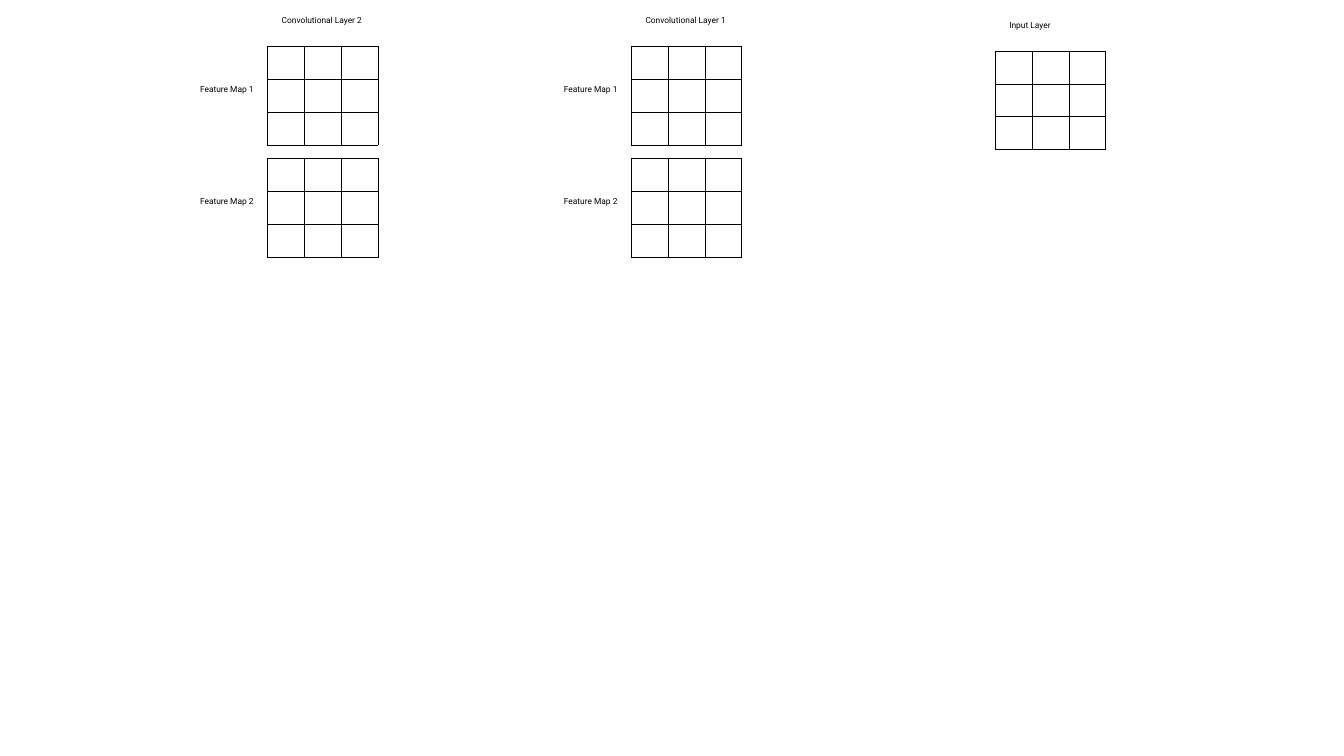
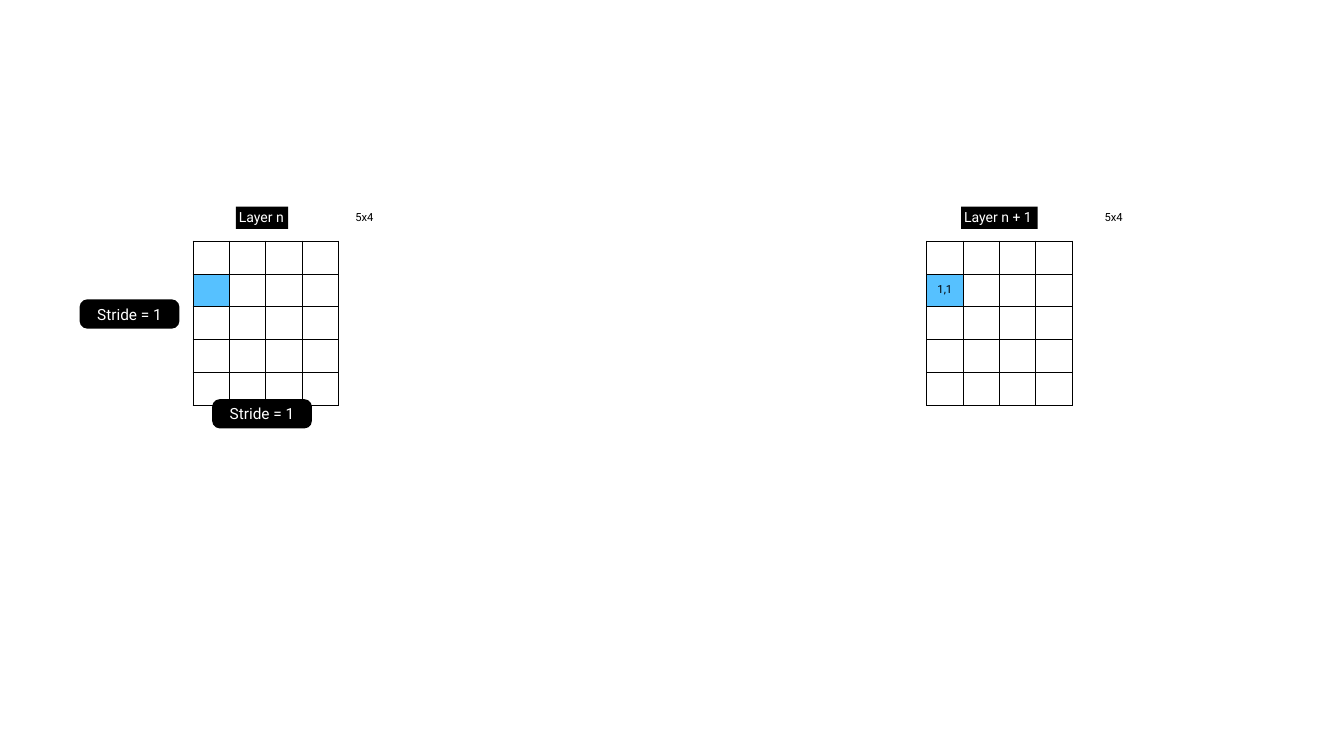
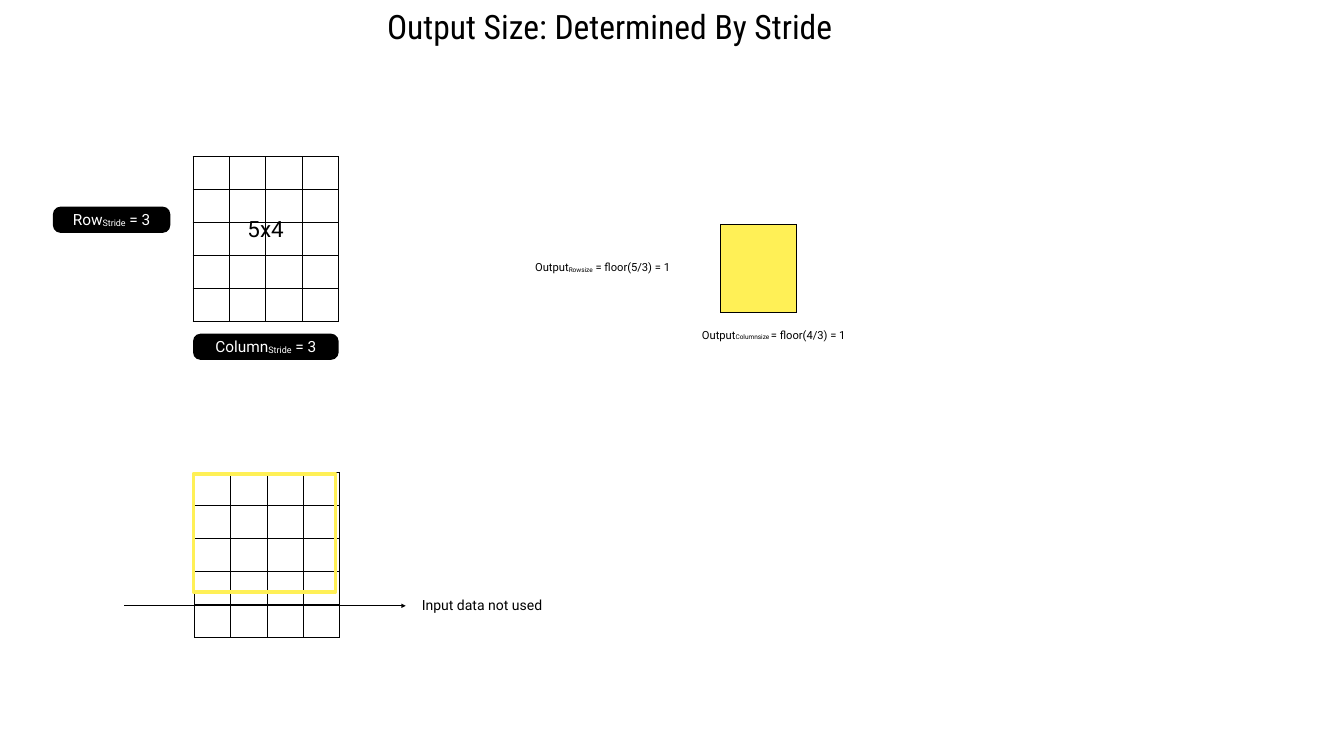
import pptx
import pptx.dml.color
import pptx.enum.shapes
import pptx.enum.text
import pptx.oxml
import pptx.oxml.ns
import pptx.util
from pptx.util import Inches

COLORS = {"ink": "000000", "paper": "FFFFFF", "blue": "56C1FF", "yellow": "FFF056"}
FONT, TITLE_FONT = "Roboto", "Roboto Condensed"
INSET = 0.06
CELL_HEIGHT = 0.58
TITLE_ONLY, BLANK = 5, 6
NS = pptx.oxml.ns.nsdecls("a")
SHAPES = pptx.enum.shapes.MSO_SHAPE
ALIGN = pptx.enum.text.PP_ALIGN
ANCHOR = pptx.enum.text.MSO_ANCHOR


def rgb(name):
    return pptx.dml.color.RGBColor.from_string(COLORS[name])


def box(left, top, width, height):
    return [Inches(v) for v in (left, top, width, height)]


def write(tf, text, size=16, color="ink", font=FONT, align=ALIGN.LEFT, spacing=0.9):
    """Fill a text frame; in a tuple, every second piece is a subscript."""
    p = tf.paragraphs[0]
    p.alignment, p.line_spacing = align, spacing
    pieces = (text,) if isinstance(text, str) else text
    for i, piece in enumerate(pieces):
        r = p.add_run()
        r.text = piece
        r.font.size, r.font.name = pptx.util.Pt(size), font
        r.font.color.rgb = rgb(color)
        if i % 2:
            r.font._element.set("baseline", "-6000")


def set_frame(tf, grow):
    tf.margin_left = tf.margin_right = tf.margin_top = tf.margin_bottom = Inches(INSET)
    tf.vertical_anchor = ANCHOR.MIDDLE
    tf.word_wrap = not grow
    if grow:
        tf.auto_size = pptx.enum.text.MSO_AUTO_SIZE.SHAPE_TO_FIT_TEXT


def add_label(slide, left, top, width, height, text, **fmt):
    sp = slide.shapes.add_textbox(*box(left, top, width, height))
    set_frame(sp.text_frame, grow=True)
    write(sp.text_frame, text, **fmt)


def add_block(slide, shape, left, top, width, height, fill=None):
    sp = slide.shapes.add_shape(shape, *box(left, top, width, height))
    sp.shadow.inherit = False
    sp.line.fill.background()
    if fill:
        sp.fill.solid()
        sp.fill.fore_color.rgb = rgb(fill)
    else:
        sp.fill.background()
    return sp


def add_pill(slide, left, top, width, height, text):
    sp = add_block(slide, SHAPES.ROUNDED_RECTANGLE, left, top, width, height, "ink")
    sp.adjustments[0] = 0.15 / height
    set_frame(sp.text_frame, grow=False)
    write(sp.text_frame, text, size=22, color="paper", align=ALIGN.CENTER, spacing=1.0)


def format_cell(cell, fill):
    cell.margin_left = cell.margin_right = Inches(INSET)
    cell.margin_top = cell.margin_bottom = Inches(INSET)
    cell.vertical_anchor = ANCHOR.MIDDLE
    tc_pr = cell._tc.get_or_add_tcPr()
    for side in "LRTB":
        tc_pr.append(pptx.oxml.parse_xml(
            f'<a:ln{side} {NS} w="12700"><a:solidFill><a:srgbClr val="{COLORS["ink"]}"/>'
            f'</a:solidFill></a:ln{side}>'))
    if fill:
        cell.fill.solid()
        cell.fill.fore_color.rgb = rgb(fill)
    else:
        cell.fill.background()


def add_grid(slide, left, top, rows, cols, cell_width, cell_height=CELL_HEIGHT,
             fills=None, texts=None):
    """Draw a bordered table; fills and texts are keyed by (row, column)."""
    fills, texts = fills or {}, texts or {}
    table = slide.shapes.add_table(
        rows, cols, *box(left, top, cols * cell_width, rows * cell_height)).table
    table.first_row = table.horz_banding = False
    for r in range(rows):
        for c in range(cols):
            cell = table.cell(r, c)
            format_cell(cell, fills.get((r, c)))
            if (r, c) in texts:
                write(cell.text_frame, texts[r, c], align=ALIGN.CENTER)
            else:
                p = cell.text_frame.paragraphs[0]
                p.line_spacing = 0.9
                p._p.append(pptx.oxml.parse_xml(
                    f'<a:endParaRPr {NS} sz="3200"><a:latin typeface="{FONT}"/></a:endParaRPr>'))


def add_input_grid(slide, left, top, **marks):
    add_grid(slide, left, top, 5, 4, 0.72, **marks)


def add_arrow(slide, x1, x2, y):
    line = slide.shapes.add_connector(
        pptx.enum.shapes.MSO_CONNECTOR.STRAIGHT, *box(x1, y, x2, y))
    line.line.width = pptx.util.Pt(2)
    line.line.color.rgb = rgb("ink")
    line.line._get_or_add_ln().append(
        pptx.oxml.parse_xml(f'<a:tailEnd {NS} type="triangle"/>'))
    line._element.spPr.append(pptx.oxml.parse_xml(f"<a:effectLst {NS}/>"))


def add_layer_column(slide, left, top, name, name_width, feature_maps):
    add_label(slide, left + 0.22, top - 0.65, name_width, 0.3, name, size=12)
    for i in range(max(feature_maps, 1)):
        y = top + i * 2.23
        add_grid(slide, left, y, 3, 3, 0.73)
        if feature_maps:
            add_label(slide, left - 1.4, y + 0.71, 1.21, 0.3, f"Feature Map {i + 1}", size=12)


def add_named_layer(slide, left, top, name, name_dx, name_width, size_dx, texts=None):
    add_input_grid(slide, left, top, fills={(1, 0): "blue"}, texts=texts)
    sp = add_block(slide, SHAPES.RECTANGLE, left + name_dx, top - 0.68, name_width, 0.44, "ink")
    set_frame(sp.text_frame, grow=True)
    write(sp.text_frame, name, size=20, color="paper")
    add_label(slide, left + size_dx, top - 0.64, 0.49, 0.35, "5x4")


def add_title(slide, left, top, width, height, text):
    title = slide.shapes.title
    title.left, title.top, title.width, title.height = box(left, top, width, height)
    set_frame(title.text_frame, grow=True)
    write(title.text_frame, text, size=48, font=TITLE_FONT)


def add_stride_input(slide, left, top):
    add_input_grid(slide, left, top)
    add_pill(slide, left, top + 3.51, 2.89, 0.52, ("Column", "Stride", " = 3"))
    add_pill(slide, left - 2.78, top + 0.99, 2.33, 0.52, ("Row", "Stride", " = 3"))
    add_label(slide, left + 1.02, top + 1.14, 0.85, 0.63, "5x4", size=32)


def add_stride_output(slide, left, top):
    add_label(slide, left - 3.74, top + 0.69, 2.89, 0.35,
              ("Output", "Rowsize", " = floor(5/3) = 1"))
    add_label(slide, left - 0.43, top + 2.03, 3.08, 0.35,
              ("Output", "Columnsize ", "= floor(4/3) = 1"))
    add_grid(slide, left, top, 1, 1, 1.5, 1.74, fills={(0, 0): "yellow"})


def add_unused_input(slide, left, top):
    add_input_grid(slide, left, top)
    window = add_block(slide, SHAPES.RECTANGLE, left - 0.02, top + 0.02, 2.82, 2.35)
    window.line.color.rgb = rgb("yellow")
    window.line.width = pptx.util.Pt(5)
    add_arrow(slide, left - 1.39, left + 4.19, top + 2.64)
    add_label(slide, left + 4.45, top + 2.42, 2.55, 0.44, "Input data not used", size=20)


def build_layers_slide(slide):
    add_layer_column(slide, 5.31, 0.92, "Convolutional Layer 2", 1.74, 2)
    add_layer_column(slide, 12.53, 0.92, "Convolutional Layer 1", 1.74, 2)
    add_layer_column(slide, 19.75, 1.01, "Input Layer", 0.96, 0)


def build_stride_one_slide(slide):
    add_named_layer(slide, 3.83, 4.78, "Layer n", 0.85, 1.04, 3.16)
    add_named_layer(slide, 18.39, 4.78, "Layer n + 1", 0.68, 1.52, 3.47, {(1, 0): "1,1"})
    for left, top in ((4.21, 7.92), (1.58, 5.94)):
        add_pill(slide, left, top, 1.98, 0.58, "Stride = 1")


def build_output_size_slide(slide):
    add_title(slide, 7.62, 0.1, 9.19, 0.92, "Output Size: Determined By Stride")
    add_stride_input(slide, 3.83, 3.11)
    add_stride_output(slide, 14.3, 4.45)
    add_unused_input(slide, 3.86, 9.38)


def main():
    prs = pptx.Presentation()
    prs.slide_width, prs.slide_height = Inches(26.67), Inches(15)
    for build, layout in ((build_layers_slide, BLANK), (build_stride_one_slide, BLANK),
                          (build_output_size_slide, TITLE_ONLY)):
        build(prs.slides.add_slide(prs.slide_layouts[layout]))
    prs.save("out.pptx")


if __name__ == "__main__":
    main()
